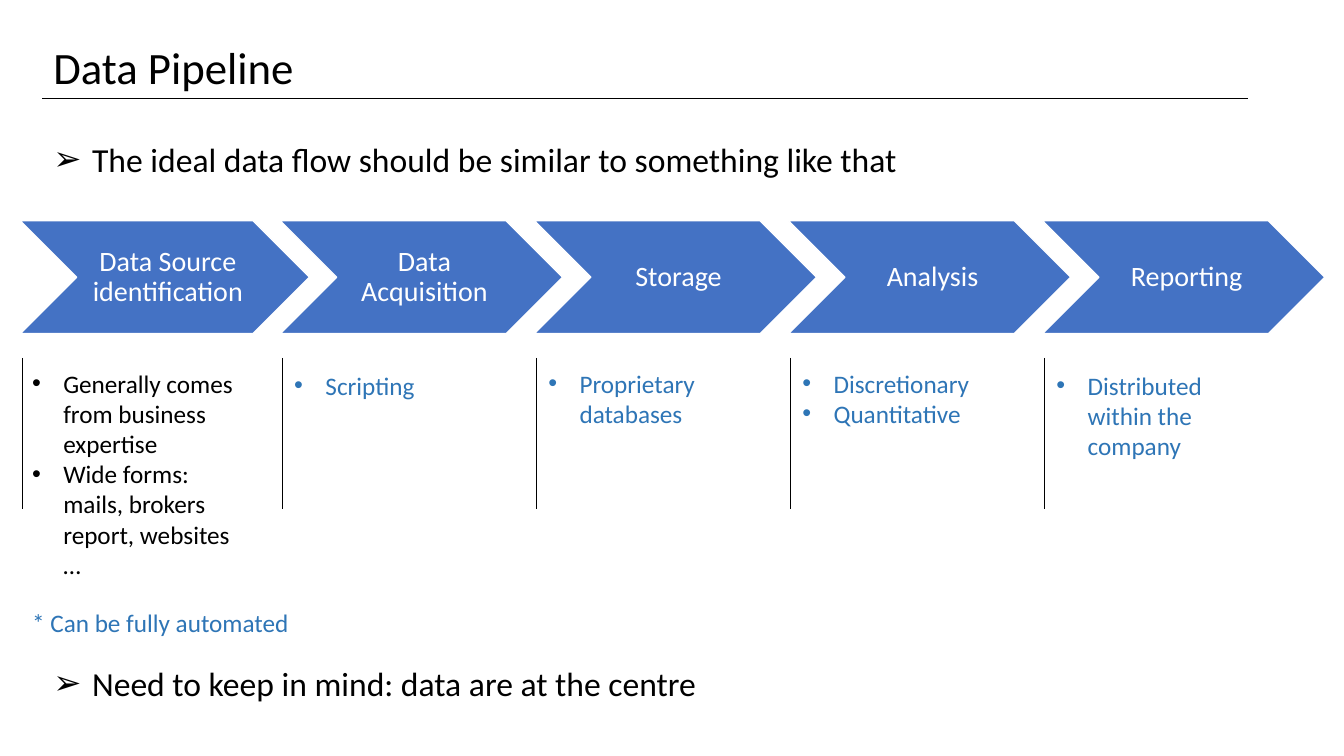
from pptx import Presentation
from pptx.dml.color import RGBColor
from pptx.enum.shapes import MSO_CONNECTOR, MSO_SHAPE
from pptx.enum.text import MSO_ANCHOR, PP_ALIGN
from pptx.oxml.ns import qn
from pptx.util import Inches, Pt
from lxml.etree import SubElement

COLORS = {"ink": "000000", "paper": "FFFFFF", "stage": "4472C4", "automated": "2E75B6"}
FONT = "Calibri"
FIRST_LEFT, FIRST_WIDTH = 0.2, 2.87
SECOND_LEFT, STAGE_PITCH, STAGE_WIDTH = 2.78, 2.52, 2.8
STAGES = [
    ("Data Source identification", 3.6, "ink",
     ["Generally comes from business expertise",
      "Wide forms: mails, brokers report, websites …"]),
    ("Data Acquisition", 3.62, "automated", ["Scripting"]),
    ("Storage", 3.6, "automated", ["Proprietary databases"]),
    ("Analysis", 3.6, "automated", ["Discretionary", "Quantitative"]),
    ("Reporting", 3.62, "automated", ["Distributed within the company"]),
]


def rgb(name):
    """Return the named colour."""
    return RGBColor.from_string(COLORS[name])


def add_run(paragraph, text, size, color):
    """Add one formatted run to a paragraph."""
    run = paragraph.add_run()
    run.text = text
    run.font.name = FONT
    run.font.size = Pt(size)
    run.font.color.rgb = rgb(color)


def set_bullet(paragraph, character):
    """Give a paragraph a hanging bullet."""
    properties = paragraph._p.get_or_add_pPr()
    properties.set("marL", str(Inches(0.31)))
    properties.set("indent", str(Inches(-0.31)))
    SubElement(properties, qn("a:buFont"), typeface="Arial")
    SubElement(properties, qn("a:buChar"), char=character)


def add_text(slide, box, lines, size, color="ink", bullet=None, wrap=True):
    """Add a text box with one paragraph for each line."""
    frame = slide.shapes.add_textbox(*map(Inches, box)).text_frame
    frame.word_wrap = wrap
    for index, line in enumerate(lines):
        paragraph = frame.add_paragraph() if index else frame.paragraphs[0]
        if bullet:
            set_bullet(paragraph, bullet)
        add_run(paragraph, line, size, color)


def add_rule(slide, left, top, right, bottom):
    """Add a thin straight line."""
    ends = map(Inches, (left, top, right, bottom))
    rule = slide.shapes.add_connector(MSO_CONNECTOR.STRAIGHT, *ends)
    rule.line.color.rgb = rgb("ink")
    rule.line.width = Pt(0.5)
    SubElement(rule._element.spPr, qn("a:effectLst"))


def add_chevron(slide, left, width, label):
    """Add a labelled pipeline stage."""
    box = map(Inches, (left, 2.19, width, 1.12))
    chevron = slide.shapes.add_shape(MSO_SHAPE.CHEVRON, *box)
    chevron.shadow.inherit = False
    chevron.fill.solid()
    chevron.fill.fore_color.rgb = rgb("stage")
    chevron.line.color.rgb = rgb("paper")
    chevron.line.width = Pt(1)
    frame = chevron.text_frame
    frame.word_wrap = True
    frame.vertical_anchor = MSO_ANCHOR.MIDDLE
    frame.margin_left = Inches(0.09)
    frame.margin_right = frame.margin_top = frame.margin_bottom = Inches(0.03)
    paragraph = frame.paragraphs[0]
    paragraph.alignment = PP_ALIGN.CENTER
    paragraph.line_spacing = 0.9
    add_run(paragraph, label, 20, "paper")


def add_stage(slide, index, label, notes_top, color, notes):
    """Add a stage with the rule and notes below it."""
    left, width = FIRST_LEFT, FIRST_WIDTH
    if index:
        left, width = SECOND_LEFT + (index - 1) * STAGE_PITCH, STAGE_WIDTH
    add_chevron(slide, left, width, label)
    add_rule(slide, left + 0.02, 3.55, left + 0.02, 5.05)
    notes_left = left + (0.04 if index else 0.02)
    add_text(slide, (notes_left, notes_top, 2.24, 1), notes, 18, color, "•")


def main():
    """Build the data pipeline slide."""
    deck = Presentation()
    deck.slide_width, deck.slide_height = Inches(13.33), Inches(7.5)
    slide = deck.slides.add_slide(deck.slide_layouts[6])
    add_text(slide, (0.43, 0.34, 2.61, 0.64), ["Data Pipeline"], 32, wrap=False)
    add_rule(slide, 0.42, 0.98, 12.38, 0.98)
    for index, stage in enumerate(STAGES):
        add_stage(slide, index, *stage)
    add_text(slide, (0.22, 5.98, 3.91, 0.4), ["* Can be fully automated"], 18, "automated")
    statements = [
        (1.33, " The ideal data flow should be similar to something like that"),
        (6.53, " Need to keep in mind: data are at the centre"),
    ]
    for top, statement in statements:
        add_text(slide, (0.43, top, 12.45, 0.5), [statement], 24, bullet="➢")
    deck.save("out.pptx")


main()
